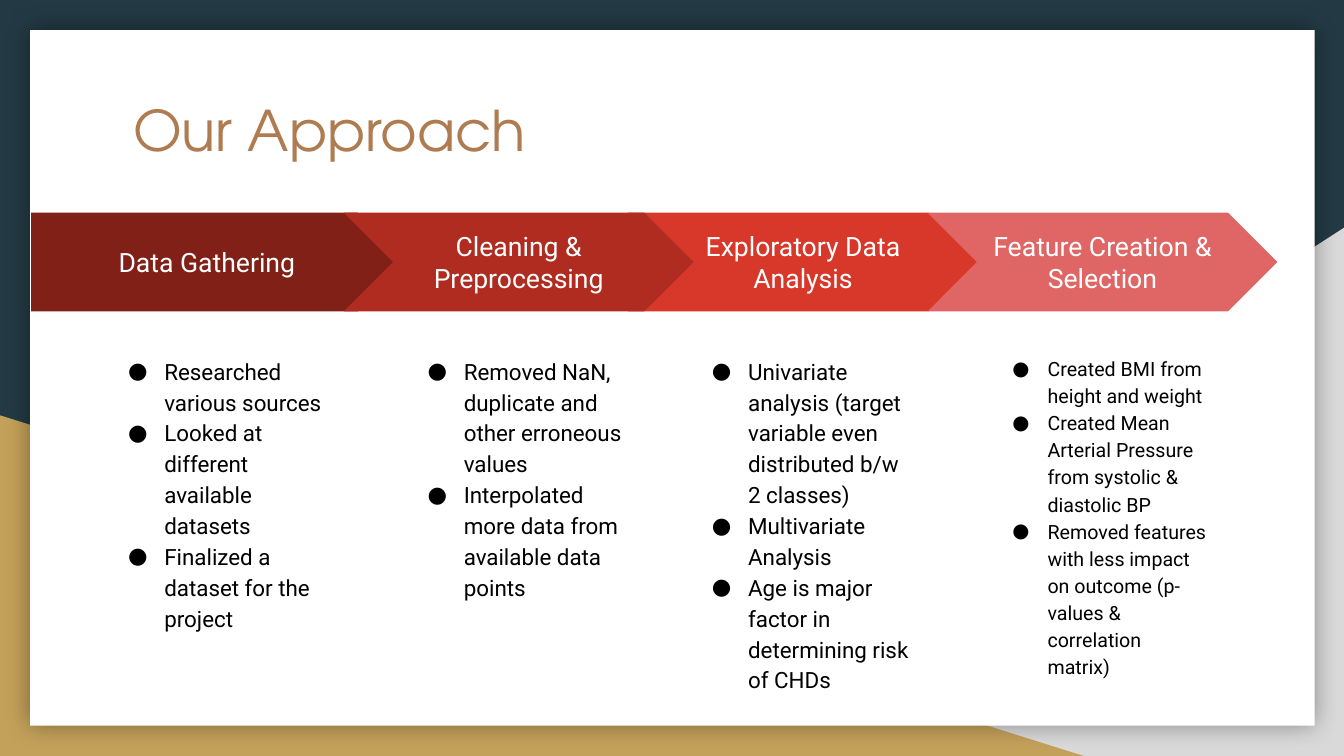
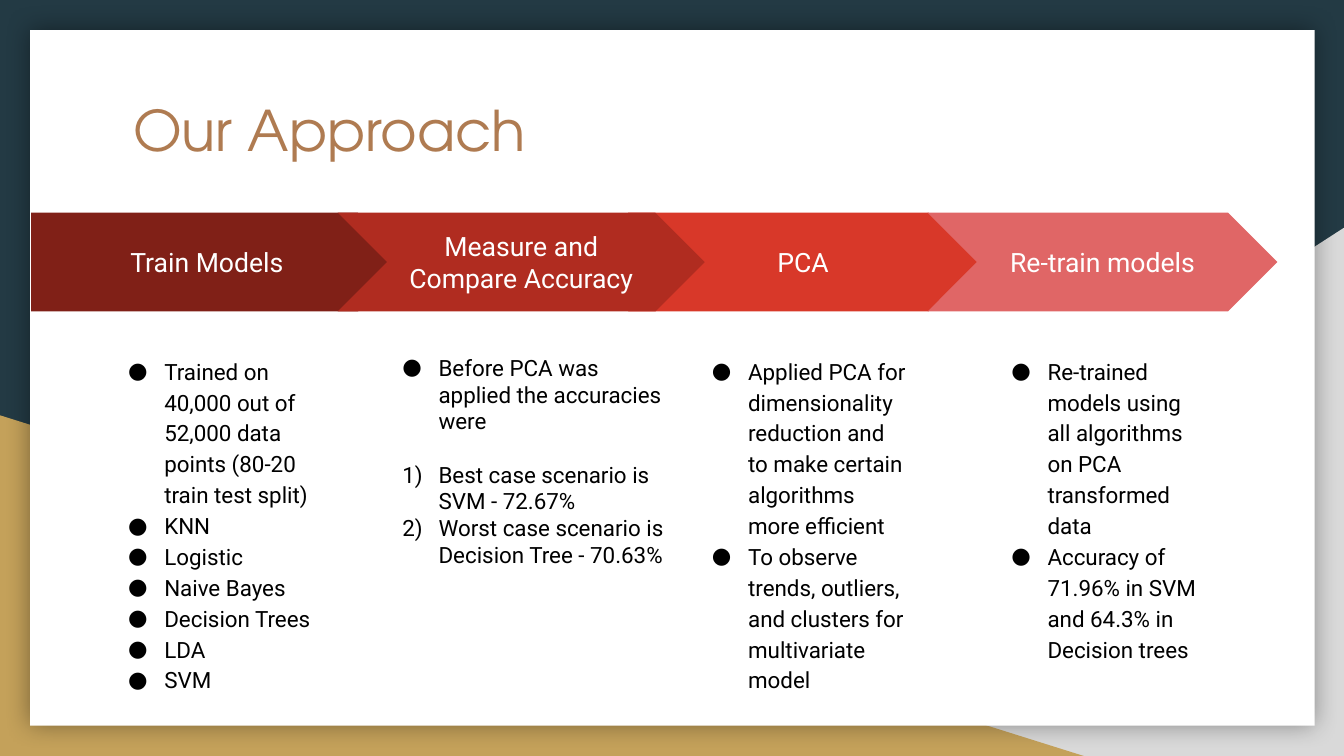
"""Build two slides that walk through the project approach as rows of arrows with lists."""
from lxml.etree import SubElement
from pptx import Presentation
from pptx.dml.color import RGBColor as RGB
from pptx.enum.shapes import MSO_SHAPE as SHAPE
from pptx.enum.text import MSO_ANCHOR as ANCHOR, MSO_AUTO_SIZE as FIT, PP_ALIGN as ALIGN
from pptx.oxml.ns import qn
from pptx.util import Emu, Inches, Pt

WIDTH, HEIGHT = 13.33, 7.5
THEME = {
    "backdrop": "233A44", "grey": "D9D9D9", "gold": "C4A15A", "card": "FFFFFF",
    "arrows": ("802017", "B02C20", "D83829", "E06666"),
    "title": {"name": "TeX Gyre Adventor", "size": 40, "color": "AF7B51", "bold": False},
    "heading": {"name": "Roboto", "size": 19, "color": "FFFFFF", "bold": False},
    "list": {"name": "Roboto", "size": 16, "color": "000000", "bold": False},
}
TITLE_BOX = (1.19, 0.82, 10.94, 1.39)
ARROW_TOP, ARROW_HEIGHT = 2.11, 0.98
LIST_TOP, LIST_HEIGHT, LIST_WIDTH = 3.38, 3.81, 2.35
ARROW_SPANS = ((0.31, 3.73), (3.41, 3.47), (6.23, 3.47), (9.2, 3.47))
LIST_LEFTS = (1, 3.97, 6.79, 9.76)
STACKING = (2, 0, 1, 3)
INSET = 0.13

BACKDROP = (
    (SHAPE.RIGHT_TRIANGLE, (5.22, 2.26, 8.11, 5.24), "grey"),
    (SHAPE.RIGHT_TRIANGLE, (0, 4.12, 10.75, 3.38), "gold"),
    (SHAPE.RECTANGLE, (0.3, 0.3, WIDTH - 0.59, HEIGHT - 0.6), "card"),
)

SLIDES = (
    ("Our Approach", (
        {"heading": "Data Gathering", "points": (
            "Researched various sources",
            "Looked at different available datasets",
            "Finalized a dataset for the project")},
        {"heading": "Cleaning & Preprocessing", "points": (
            "Removed NaN, duplicate and other erroneous values",
            "Interpolated more data from available data points")},
        {"heading": "Exploratory Data Analysis", "points": (
            "Univariate analysis (target variable even distributed b/w 2 classes)",
            "Multivariate Analysis",
            "Age is major factor in determining risk of CHDs")},
        {"heading": "Feature Creation & Selection", "size": 14, "points": (
            "Created BMI from height and weight",
            "Created Mean Arterial Pressure from systolic & diastolic BP",
            "Removed features with less impact on outcome (p-values & correlation matrix)")},
    )),
    ("Our Approach", (
        {"heading": "Train Models", "points": (
            "Trained on 40,000 out of 52,000 data points (80-20 train test split)",
            "KNN", "Logistic", "Naive Bayes", "Decision Trees", "LDA", "SVM")},
        {"heading": "Measure and Compare Accuracy", "arrow": (3.35, 3.64),
         "list": (3.72, 3.05), "spacing": 1.0,
         "points": ("Before PCA was applied the accuracies were",),
         "numbered": (
             "Best case scenario is SVM - 72.67%",
             "Worst case scenario is Decision Tree - 70.63%")},
        {"heading": "PCA", "points": (
            "Applied PCA for dimensionality reduction and to make certain algorithms more efficient",
            "To observe trends, outliers, and clusters for multivariate model")},
        {"heading": "Re-train models", "points": (
            "Re-trained models using all algorithms on PCA transformed data",
            "Accuracy of 71.96% in SVM and 64.3% in Decision trees")},
    )),
)


def place(part, box):
    for side, length in zip(("left", "top", "width", "height"), box):
        setattr(part, side, Inches(length))


def style_font(font, look):
    font.color.rgb = RGB.from_string(look["color"])
    for key, value in {"name": look["name"], "size": Pt(look["size"]), "bold": look["bold"]}.items():
        setattr(font, key, value)


def style_frame(frame, anchor):
    inset = Inches(INSET)
    settings = {"word_wrap": True, "auto_size": FIT.NONE, "vertical_anchor": anchor,
                "margin_left": inset, "margin_right": inset,
                "margin_top": inset, "margin_bottom": inset}
    for key, value in settings.items():
        setattr(frame, key, value)


def write(paragraph, text, look, align):
    paragraph.alignment = align
    run = paragraph.add_run()
    run.text = text
    style_font(run.font, look)


def add_filled(slide, kind, box, color):
    filled = slide.shapes.add_shape(kind, *map(Inches, box))
    filled.shadow.inherit = False
    filled.fill.solid()
    filled.fill.fore_color.rgb = RGB.from_string(color)
    filled.line.fill.background()
    return filled


def add_glow(card):
    effects = card.element.spPr.find(qn("a:effectLst"))
    shadow = SubElement(effects, qn("a:outerShdw"), blurRad=str(Pt(18)), dist="0", dir="0",
                        algn="ctr", rotWithShape="0")
    black = SubElement(shadow, qn("a:srgbClr"), val="000000")
    SubElement(black, qn("a:alpha"), val="40000")


def dress_master(deck, slide):
    master = deck.slide_master
    master.background.fill.solid()
    master.background.fill.fore_color.rgb = RGB.from_string(THEME["backdrop"])
    layers = [add_filled(slide, kind, box, THEME[color]) for kind, box, color in BACKDROP]
    layers[0].element.spPr.find(qn("a:xfrm")).set("flipH", "1")
    add_glow(layers[-1])
    for depth, layer in enumerate(layers, start=2):
        master.shapes.element.insert(depth, layer.element)


def add_marker(paragraph, look, numbered):
    properties = paragraph._p.get_or_add_pPr()
    properties.set("marL", str(Inches(0.5)))
    properties.set("indent", str(Emu(-Inches(0.36 if look["size"] == 16 else 0.35))))
    tint = SubElement(properties, qn("a:buClr"))
    SubElement(tint, qn("a:srgbClr"), val=look["color"])
    SubElement(properties, qn("a:buFont"), typeface=look["name"])
    if numbered:
        SubElement(properties, qn("a:buAutoNum"), type="arabicParenR")
    else:
        SubElement(properties, qn("a:buChar"), char="●")


def fill_list(body, step, column):
    left, width = step.get("list", (LIST_LEFTS[column], LIST_WIDTH))
    place(body, (left, LIST_TOP, width, LIST_HEIGHT))
    frame = body.text_frame
    style_frame(frame, ANCHOR.TOP)
    look = {**THEME["list"], "size": step.get("size", THEME["list"]["size"])}
    points, numbered = step["points"], step.get("numbered", ())
    for order, text in enumerate(points + numbered):
        paragraph = frame.add_paragraph() if order else frame.paragraphs[0]
        write(paragraph, text, look, ALIGN.LEFT)
        paragraph.line_spacing = step.get("spacing", 1.15)
        paragraph.space_before = Pt(18.75 if order == len(points) else 0)
        paragraph.space_after = Pt(0)
        add_marker(paragraph, look, order >= len(points))


def add_arrow(slide, step, column):
    left, width = step.get("arrow", ARROW_SPANS[column])
    kind = SHAPE.CHEVRON if column else SHAPE.PENTAGON
    arrow = add_filled(slide, kind, (left, ARROW_TOP, width, ARROW_HEIGHT), THEME["arrows"][column])
    style_frame(arrow.text_frame, ANCHOR.MIDDLE)
    write(arrow.text_frame.paragraphs[0], step["heading"], THEME["heading"], ALIGN.CENTER)


def main():
    deck = Presentation()
    deck.slide_width, deck.slide_height = Inches(WIDTH), Inches(HEIGHT)
    layout = deck.slide_layouts.get_by_name("Comparison")
    place(layout.placeholders[0], TITLE_BOX)
    for number, (title, steps) in enumerate(SLIDES):
        slide = deck.slides.add_slide(layout)
        if number == 0:
            dress_master(deck, slide)
        heading, *bodies = slide.placeholders
        style_frame(heading.text_frame, ANCHOR.TOP)
        write(heading.text_frame.paragraphs[0], title, THEME["title"], ALIGN.LEFT)
        for column in STACKING:
            add_arrow(slide, steps[column], column)
            fill_list(bodies[column], steps[column], column)
    deck.save("out.pptx")


if __name__ == "__main__":
    main()
